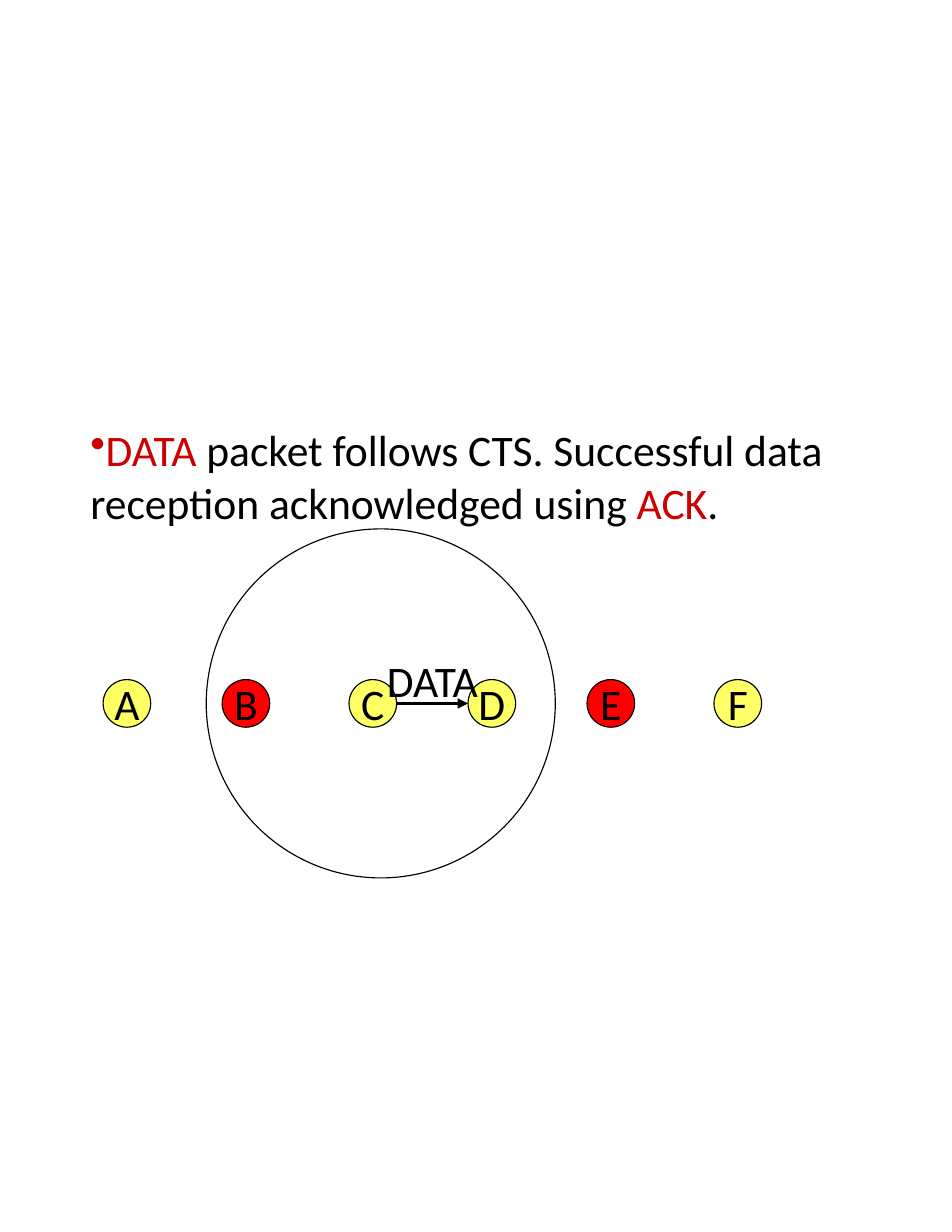
from lxml import etree
from pptx import Presentation
from pptx import util as u
from pptx.dml.color import RGBColor
from pptx.enum import shapes, text
from pptx.oxml.ns import qn

BLACK = RGBColor(0x00, 0x00, 0x00)
YELLOW = RGBColor(0xFF, 0xFF, 0x66)
RED = RGBColor(0xFF, 0x00, 0x00)
CRIMSON = RGBColor(0xCC, 0x00, 0x00)

WIDTH, HEIGHT = u.Inches(8.5), u.Inches(11)
CELL = WIDTH / 120
NODE_SIZE = 6
STATIONS = {"A": 0, "B": 15, "C": 31, "D": 46, "E": 61, "F": 77}
BLOCKED = {"B", "E"}
RUN_FORMAT = {"name": "Calibri", "size": u.Pt(28)}


def cells(*counts):
    """Turn counts of grid cells into lengths."""
    return [u.Emu(round(count * CELL)) for count in counts]


def apply_format(target, values):
    """Set each attribute named in a dict of format values."""
    for name, value in values.items():
        setattr(target, name, value)


def add_run(paragraph, wording, color=BLACK):
    """Append one run in the slide's typeface."""
    run = paragraph.add_run()
    run.text = wording
    apply_format(run.font, RUN_FORMAT)
    run.font.color.rgb = color


def add_circle(slide, box, fill=None):
    """Draw a thin-lined circle, hollow unless a fill is given."""
    circle = slide.shapes.add_shape(shapes.MSO_SHAPE.OVAL, *cells(*box))
    circle.shadow.inherit = False
    if fill is None:
        circle.fill.background()
    else:
        circle.fill.solid()
        circle.fill.fore_color.rgb = fill
    circle.line.color.rgb = BLACK
    circle.line.width = u.Pt(0.75)
    return circle


def add_centred_label(frame, wording, anchor):
    """Write one unwrapped, centred line in a text frame."""
    apply_format(frame, {"word_wrap": False, "vertical_anchor": anchor})
    label = frame.paragraphs[0]
    label.alignment = text.PP_ALIGN.CENTER
    add_run(label, wording)


def add_transmission(slide, start, end, middle):
    """Draw the DATA arrow between two stations, with its label."""
    arrow = slide.shapes.add_connector(
        shapes.MSO_CONNECTOR.STRAIGHT, *cells(start, middle, end, middle))
    arrow.line.color.rgb = BLACK
    arrow.line.width = u.Pt(2.25)
    etree.SubElement(arrow.line._get_or_add_ln(), qn("a:tailEnd"), type="triangle")
    etree.SubElement(arrow._element.spPr, qn("a:effectLst"))
    return arrow


def add_network(slide, left, top, size):
    """Place the stations, the transmission and C's radio range in a box."""
    middle = top + size / 2
    first = left - 13
    for station, offset in STATIONS.items():
        box = (first + offset, middle - NODE_SIZE / 2, NODE_SIZE, NODE_SIZE)
        node = add_circle(slide, box, RED if station in BLOCKED else YELLOW)
        add_centred_label(node.text_frame, station, text.MSO_ANCHOR.MIDDLE)
    add_transmission(slide, first + STATIONS["C"] + NODE_SIZE, first + STATIONS["D"], middle)
    add_circle(slide, (left, top, size, size))
    packet = slide.shapes.add_textbox(*cells(left + 21.3, middle - 7, 14.4, 8))
    add_centred_label(packet.text_frame, "DATA", text.MSO_ANCHOR.TOP)


def add_statement(slide, left, top, width, height):
    """Place the bulleted sentence in a box."""
    statement = slide.shapes.add_textbox(*cells(left, top, width, height))
    statement.text_frame.word_wrap = True
    sentence = statement.text_frame.paragraphs[0]
    sentence.space_before = u.Pt(5.6)
    etree.SubElement(sentence._p.get_or_add_pPr(), qn("a:buChar"), char="•")
    for wording, color in (
        ("DATA", CRIMSON),
        (" packet follows CTS. Successful data reception acknowledged using ", BLACK),
        ("ACK", CRIMSON),
        (".", BLACK),
    ):
        add_run(sentence, wording, color)


def main():
    """Build and save the slide."""
    deck = Presentation()
    apply_format(deck, {"slide_width": WIDTH, "slide_height": HEIGHT})
    slide = deck.slides.add_slide(deck.slide_layouts[6])
    add_network(slide, left=26, top=66.67, size=44)
    add_statement(slide, left=10, top=52.67, width=100, height=14.67)
    deck.save("out.pptx")


if __name__ == "__main__":
    main()
